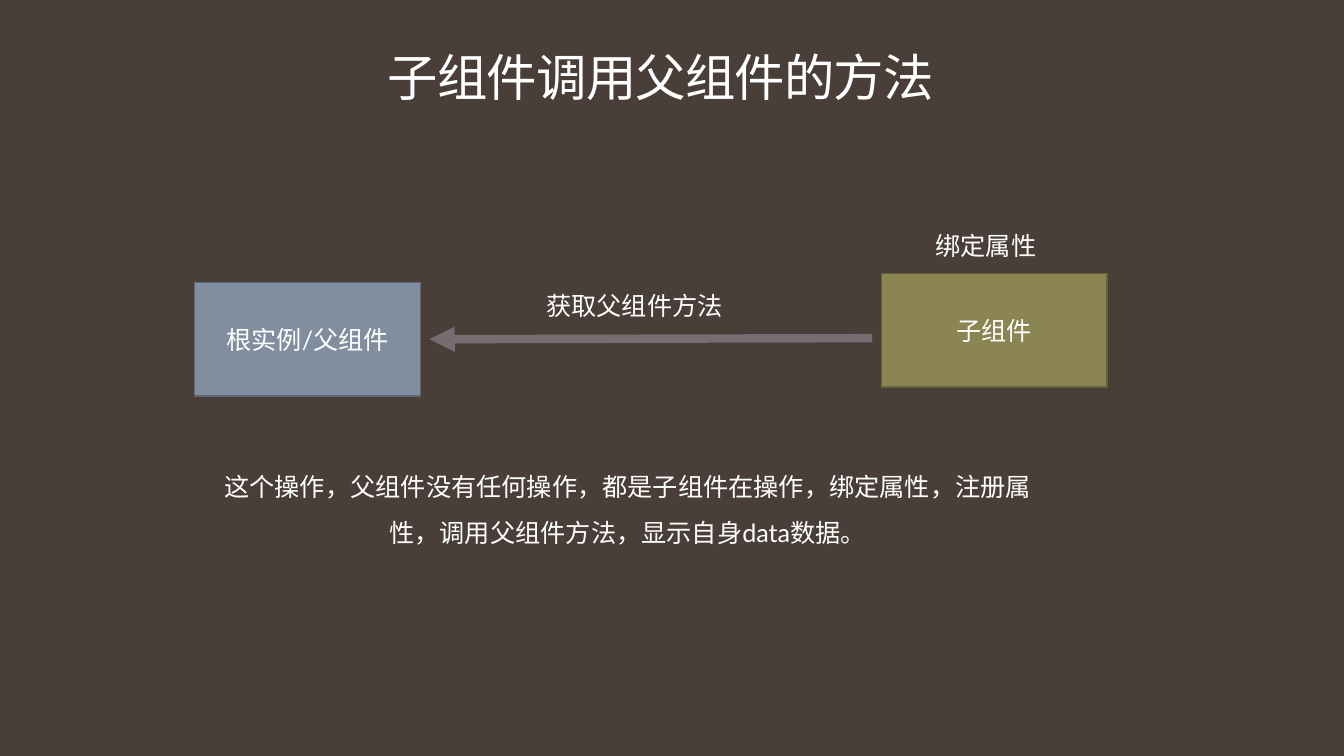
import pptx
import pptx.util
import pptx.dml.color
import pptx.enum.shapes
import pptx.enum.text
import pptx.oxml
import pptx.oxml.ns

W, H = 13.33, 7.5
CJK = "Noto Sans CJK SC"
WHITE = "FFFFFF"
ALIGN = pptx.enum.text.PP_ALIGN
ANCHOR = pptx.enum.text.MSO_ANCHOR
FIT = pptx.enum.text.MSO_AUTO_SIZE


def rgb(value):
    return pptx.dml.color.RGBColor.from_string(value)


def inches(*values):
    return [pptx.util.Inches(v) for v in values]


def add_xml(parent, tag, **attrs):
    el = pptx.oxml.parse_xml(f"<a:{tag} {pptx.oxml.ns.nsdecls('a')}/>")
    for name, value in attrs.items():
        el.set(name, value)
    parent.append(el)


def write(tf, text, size=18, font="Lato", align=ALIGN.CENTER,
          anchor=ANCHOR.TOP, spacing=1.0, wrap=True, fit=FIT.NONE):
    tf.word_wrap = wrap
    tf.auto_size = fit
    tf.vertical_anchor = anchor
    p = tf.paragraphs[0]
    p.alignment = align
    p.line_spacing = spacing
    r = p.add_run()
    r.text = text
    r.font.size = pptx.util.Pt(size)
    r.font.color.rgb = rgb(WHITE)
    r.font.name = font
    add_xml(r.font._element, "ea", typeface=CJK)
    return r


def title(s, box, text):
    sp = s.shapes.title
    sp.left, sp.top, sp.width, sp.height = inches(*box)
    r = write(sp.text_frame, text, 36, CJK, spacing=0.9)
    r.font._element.set("spc", "-60")


def label(s, box, text, **style):
    sp = s.shapes.add_textbox(*inches(*box))
    write(sp.text_frame, text, fit=FIT.SHAPE_TO_FIT_TEXT, **style)


def component(s, box, text, fill, line):
    sp = s.shapes.add_shape(pptx.enum.shapes.MSO_SHAPE.RECTANGLE, *inches(*box))
    sp.shadow.inherit = False
    sp.fill.solid()
    sp.fill.fore_color.rgb = rgb(fill)
    sp.line.color.rgb = rgb(line)
    sp.line.width = pptx.util.Pt(0.85)
    write(sp.text_frame, text, anchor=ANCHOR.MIDDLE)


def arrow(s, start, end, color):
    sp = s.shapes.add_connector(
        pptx.enum.shapes.MSO_CONNECTOR.STRAIGHT, *inches(*start, *end))
    sp.line.color.rgb = rgb(color)
    sp.line.width = pptx.util.Pt(6)
    add_xml(sp.line._get_or_add_ln(), "tailEnd", type="triangle")
    add_xml(sp._element.spPr, "effectLst")


def call_diagram(s, box):
    x, y, w, h = box
    node_w, node_h, gap = 2.24, 1.13, 0.09
    child_x, parent_y = x + w - node_w, y + h - node_h
    child_y = parent_y - gap
    component(s, (x, parent_y, node_w, node_h), "根实例/父组件", "818E9F", "5F6976")
    component(s, (child_x, child_y, node_w, node_h), "子组件", "8A8552", "66623D")
    mid_y = parent_y + node_h / 2
    arrow(s, (child_x - gap, mid_y - 0.01), (x + node_w + gap, mid_y), "786C71")
    caption = dict(align=ALIGN.LEFT, wrap=False)
    label(s, (child_x + 0.44, y, 1.21, 0.4), "绑定属性", **caption)
    label(s, (x + 3.39, parent_y + 0.03, 1.97, 0.4), "获取父组件方法", **caption)


prs = pptx.Presentation()
prs.slide_width, prs.slide_height = inches(W, H)
s = prs.slides.add_slide(prs.slide_layouts[5])
s.background.fill.solid()
s.background.fill.fore_color.rgb = rgb("4A3F38")

title(s, (3.38, 0.48, 6.35, 2.03), "子组件调用父组件的方法")
call_diagram(s, (1.93, 2.24, 9.05, 1.69))
label(s, (2.05, 4.48, 8.35, 0.96),
      "这个操作，父组件没有任何操作，都是子组件在操作，绑定属性，注册属性，"
      "调用父组件方法，显示自身data数据。", spacing=1.5)

prs.save("out.pptx")
